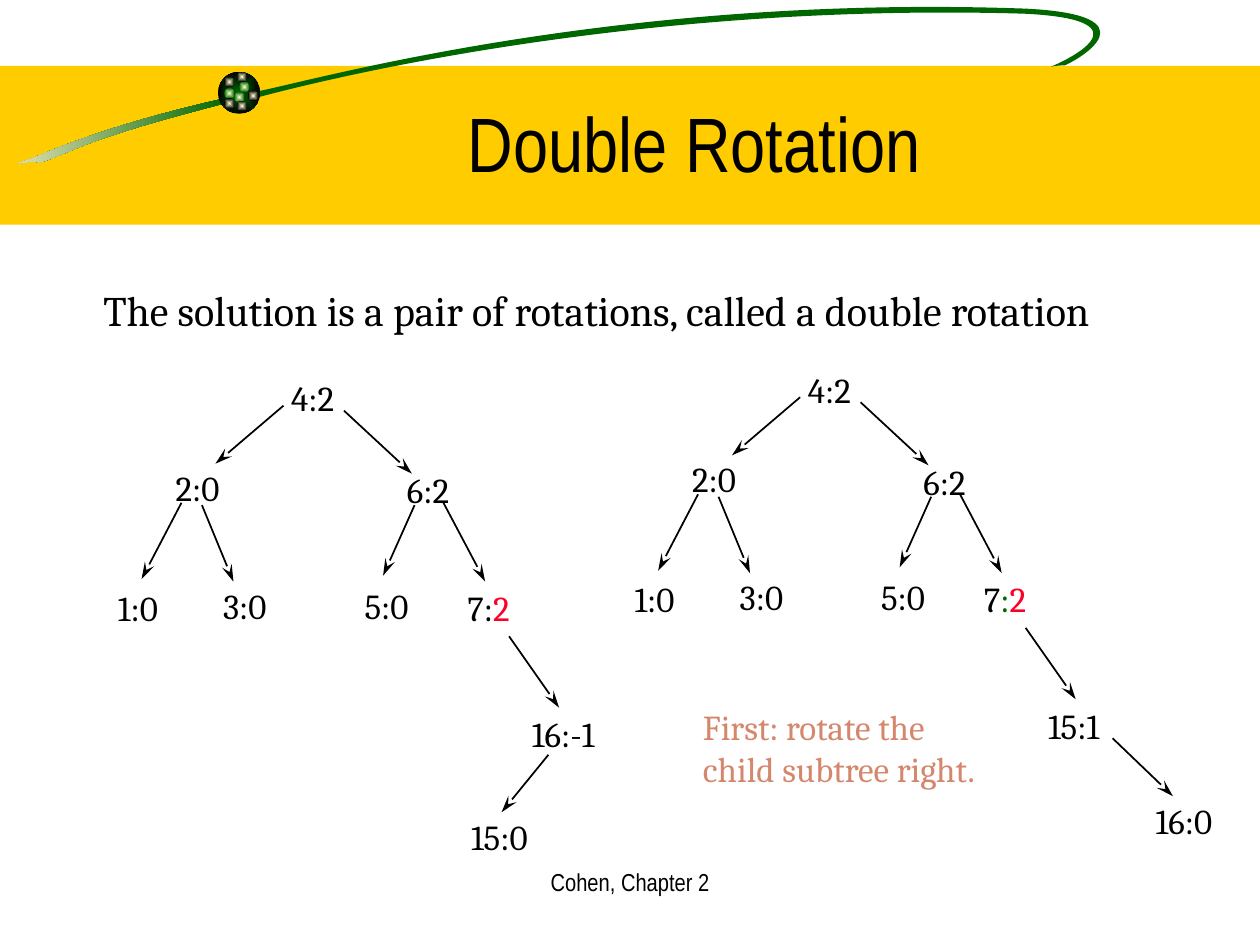
import dataclasses
import math

import lxml.etree
import pptx
import pptx.dml.color
import pptx.enum.shapes
import pptx.enum.text
import pptx.oxml.ns
import pptx.util

Pt = pptx.util.Pt
qn = pptx.oxml.ns.qn
SHAPE = pptx.enum.shapes.MSO_SHAPE
ALIGN = pptx.enum.text.PP_ALIGN
ANCHOR = pptx.enum.text.MSO_ANCHOR
AUTO = pptx.enum.text.MSO_AUTO_SIZE


@dataclasses.dataclass(frozen=True)
class Theme:
    black: str = "000000"
    white: str = "FFFFFF"
    band: str = "FFCC00"
    green: str = "006600"
    sand: str = "F5EBC1"
    glow: str = "FFFFCC"
    red: str = "FC0128"
    note: str = "D4876C"
    head_font: str = "Arial Narrow"
    body_font: str = "Cambria"
    title_size: int = 44
    lead_size: int = 24
    node_size: int = 20
    footer_size: int = 14


THEME = Theme()


def rgb(value):
    return pptx.dml.color.RGBColor.from_string(value)


def add_run(p, text, *, size=THEME.node_size, font=THEME.body_font, color=THEME.black):
    r = p.add_run()
    r.text = text
    r.font.size = Pt(size)
    r.font.name = font
    r.font.color.rgb = rgb(color)


def lines_to_curves(sp):
    lines = list(sp._element.iter(qn("a:lnTo")))
    for i in range(0, len(lines), 3):
        curve = lxml.etree.Element(qn("a:cubicBezTo"))
        lines[i].addprevious(curve)
        for line in lines[i:i + 3]:
            curve.append(line[0])
            line.getparent().remove(line)


class SlideBuilder:
    def __init__(self, prs, theme):
        self.theme = theme
        self.s = prs.slides.add_slide(prs.slide_layouts[5])

    def paint(self, sp, colors, centered=False):
        sp.shadow.inherit = False
        sp.line.fill.background()
        if len(colors) == 1:
            sp.fill.solid()
            sp.fill.fore_color.rgb = rgb(colors[0])
            return
        sp.fill.gradient()
        sp.fill.gradient_angle = 180
        for stop, color, position in zip(sp.fill.gradient_stops, colors, (0, 1)):
            stop.color.rgb = rgb(color)
            stop.position = position
        if centered:
            grad = sp._element.spPr.find(qn("a:gradFill"))
            grad.remove(grad.find(qn("a:lin")))
            path = lxml.etree.SubElement(grad, qn("a:path"), {"path": "rect"})
            sides = dict.fromkeys("ltrb", "50000")
            lxml.etree.SubElement(path, qn("a:fillToRect"), sides)

    def shape(self, kind, x, y, w, h, *colors, alpha=None):
        sp = self.s.shapes.add_shape(kind, Pt(x), Pt(y), Pt(w), Pt(h))
        self.paint(sp, colors, centered=True)
        if alpha is not None:
            color = sp._element.spPr.find(qn("a:solidFill"))[0]
            lxml.etree.SubElement(color, qn("a:alpha"), {"val": str(alpha * 1000)})

    def outline(self, points, angle, *colors):
        turn = complex(math.cos(math.radians(angle)), math.sin(math.radians(angle)))
        level = [complex(x, y) / turn for x, y in points]
        start, *rest = [(Pt(z.real), Pt(z.imag)) for z in level]
        builder = self.s.shapes.build_freeform(*start)
        builder.add_line_segments(rest, close=True)
        sp = builder.convert_to_shape()
        lines_to_curves(sp)
        center = complex(sp.left + sp.width / 2, sp.top + sp.height / 2) * turn
        sp.left = round(center.real - sp.width / 2)
        sp.top = round(center.imag - sp.height / 2)
        sp.rotation = angle
        self.paint(sp, colors)

    def title(self, text, x, y, w, h):
        sp = self.s.shapes.title
        sp.left, sp.top, sp.width, sp.height = Pt(x), Pt(y), Pt(w), Pt(h)
        self.s.shapes._spTree.append(sp._element)
        tf = sp.text_frame
        tf.auto_size = AUTO.NONE
        tf.vertical_anchor = ANCHOR.MIDDLE
        p = tf.paragraphs[0]
        p.alignment = ALIGN.CENTER
        add_run(p, text, size=self.theme.title_size, font=self.theme.head_font)

    def text(self, runs, x, y, w, h, wrap=True, align=ALIGN.LEFT,
             auto=AUTO.SHAPE_TO_FIT_TEXT, **style):
        tf = self.s.shapes.add_textbox(Pt(x), Pt(y), Pt(w), Pt(h)).text_frame
        tf.word_wrap = wrap
        tf.auto_size = auto
        p = tf.paragraphs[0]
        p.alignment = align
        for text, color in runs:
            add_run(p, text, color=color, **style)

    def node(self, runs, x, y, w=42.5):
        if isinstance(runs, str):
            runs = [(runs, self.theme.black)]
        self.text(runs, x, y, w, 31, wrap=False)

    def arrow(self, x1, y1, x2, y2):
        kind = pptx.enum.shapes.MSO_CONNECTOR.STRAIGHT
        c = self.s.shapes.add_connector(kind, Pt(x1), Pt(y1), Pt(x2), Pt(y2))
        c.line.color.rgb = rgb(self.theme.black)
        c.line.width = Pt(1)
        props = c._element.spPr
        head = {"type": "stealth", "w": "med", "len": "lg"}
        lxml.etree.SubElement(props.find(qn("a:ln")), qn("a:tailEnd"), head)
        lxml.etree.SubElement(props, qn("a:effectLst"))

    def tree(self, dx, dy, balance):
        for text, x, y in TREE_NODES:
            self.node(text, x + dx, y + dy)
        self.node(balance, 260 + dx, 331.5 + dy)
        for x1, y1, x2, y2 in TREE_ARROWS:
            self.arrow(x1 + dx, y1 + dy, x2 + dx, y2 + dy)


TREE_NODES = [
    ("4:2", 159.3, 211.7), ("2:0", 93.2, 262.8), ("6:2", 225.4, 264.2),
    ("1:0", 60.3, 331.5), ("3:0", 120.4, 330.3), ("5:0", 201.2, 330.3),
]
TREE_ARROWS = [
    (162, 231.8, 123.1, 265), (196.6, 234.7, 235.4, 270.7),
    (103.7, 287.3, 80.9, 331), (115.4, 288.7, 133.4, 332.4),
    (236.9, 288.7, 218.9, 329), (253.4, 287.3, 277.2, 332.3),
    (290.9, 363.6, 319.5, 404.4),
]
SWOOSH_TAIL = [
    (128.2, 56.2),
    (65.5, 70.6), (35.3, 83.5), (18, 90.7),
    (0.7, 96.5), (18.7, 90.7), (22.3, 92.9),
    (41, 87.8), (41, 81.4), (128.9, 59),
    (128.9, 59), (128.2, 56.2), (128.2, 56.2),
]
SWOOSH_LOOP = [
    (145.4, 52.6),
    (177.1, 46.8), (349.9, -3.6), (586.1, 5),
    (660.2, 8.6), (617, 33.8), (608.4, 37.4),
    (608.4, 37.4), (603.4, 37.4), (600.5, 38.2),
    (607.7, 35.3), (659.5, 11.5), (585.4, 7.9),
    (394.6, 2.2), (230.4, 33.8), (148.3, 55.4),
    (148.3, 55.4), (145.4, 52.6), (145.4, 52.6),
]
GREEN_DOTS = [(136.8, 46.8), (128.2, 50.4), (133.9, 52.6)]
DARK_DOTS = [(128.2, 43.9), (141.8, 51.8), (135.4, 57.6), (128.2, 56.2), (135.4, 41)]


def main():
    t = THEME
    prs = pptx.Presentation()
    prs.slide_width, prs.slide_height = Pt(720), Pt(540)
    b = SlideBuilder(prs, t)

    b.shape(SHAPE.RECTANGLE, 0, 37.6, 720, 90.8, t.band)
    b.outline(SWOOSH_TAIL, 351.5, t.green, t.sand)
    b.outline(SWOOSH_LOOP, 351.5, t.green)
    b.shape(SHAPE.OVAL, 124.6, 41, 24, 24, t.green, t.black)
    for dots, edge in ((GREEN_DOTS, t.green), (DARK_DOTS, t.black)):
        for x, y in dots:
            b.shape(SHAPE.OVAL, x, y, 5.8, 5.8, t.glow, edge)
    b.shape(SHAPE.RECTANGLE, 53.3, 148.3, 87.8, 391.7, t.white, alpha=50)

    b.title("Double Rotation", 90.7, 36, 612, 90)
    lead = "The solution is a pair of rotations, called a double rotation"
    b.text([(lead, t.black)], 52, 159.1, 640.8, 64.8, size=t.lead_size)

    b.tree(0, 0, [("7:", t.black), ("2", t.red)])
    b.node("16:-1", 296.9, 403.6, 60.5)
    b.node("15:0", 262.1, 462.2, 54)
    b.arrow(313.4, 431.3, 286.6, 464.2)

    b.tree(295.2, -4.8, [("7", t.black), (":", t.green), ("2", t.red)])
    b.node("15:1", 591.8, 398.9, 54)
    b.node("16:0", 653.3, 453.2, 54)
    b.arrow(635.8, 421.9, 670.3, 455)

    b.text([("First: rotate the child subtree right.", t.note)], 394.6, 399.6, 174.2, 79.2)
    b.text([("Cohen, Chapter 2", t.black)], 246, 491.8, 228.2, 36, align=ALIGN.CENTER,
           auto=AUTO.NONE, size=t.footer_size, font=t.head_font)
    prs.save("out.pptx")


if __name__ == "__main__":
    main()
